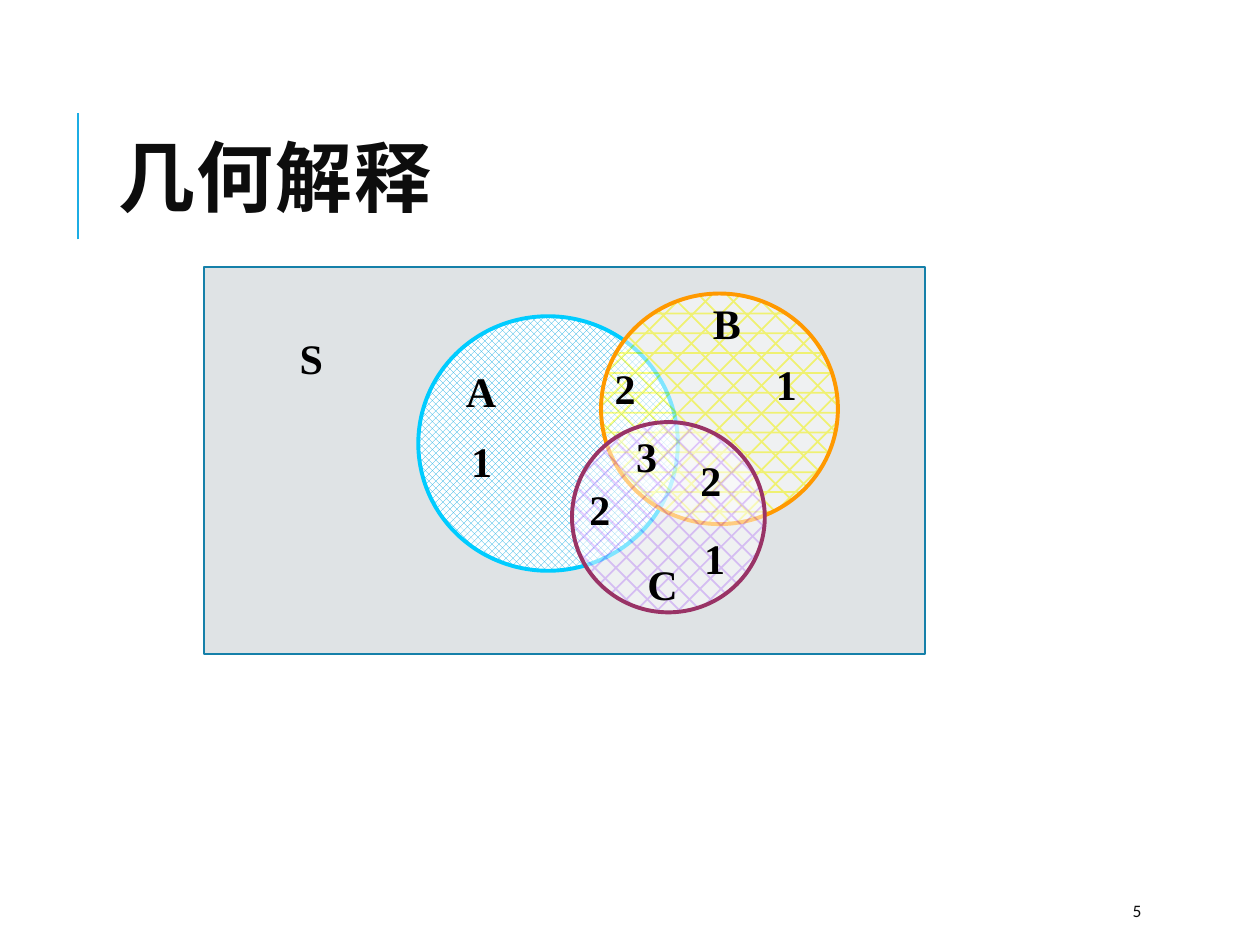
import pptx
import pptx.util
import pptx.dml.color
import pptx.enum.dml
import pptx.enum.shapes
import pptx.enum.text
import pptx.oxml
import pptx.oxml.ns

Inches = pptx.util.Inches
Pt = pptx.util.Pt
SHAPE = pptx.enum.shapes.MSO_SHAPE
ANCHOR = pptx.enum.text.MSO_ANCHOR
PATTERN = pptx.enum.dml.MSO_PATTERN

COLORS = {
    "ink": "0D0D0D", "black": "000000", "white": "FFFFFF",
    "accent": "1CADE4", "space": "DFE3E5", "edge": "1580A9",
    "cyan": "00CCFF", "yellow": "FFFF00", "orange": "FF9900",
    "lilac": "CC99FF", "plum": "993366",
}
TITLE = {"name": "Calibri", "size": Pt(44), "bold": True}
NUMBER = {"name": "Calibri", "size": Pt(10)}
LABEL = {"name": "Times New Roman", "size": Pt(24), "bold": True}

# Circles: box, pattern, pattern colour, outline, opacity in percent
CIRCLES = [
    ((3.32, 2.51, 2.06, 2.02), PATTERN.LARGE_CHECKER_BOARD,
     "accent", "cyan", 100),
    ((4.77, 2.33, 1.88, 1.83), PATTERN.DIVOT, "yellow", "orange", 50),
    ((4.54, 3.35, 1.53, 1.51), PATTERN.DIAGONAL_BRICK,
     "lilac", "plum", 50),
]

# Set names, then how often each region is counted
MARKS = [
    ("S", 2.28, 2.59), ("A", 3.6, 2.85), ("B", 5.56, 2.31),
    ("C", 5.04, 4.38),
    ("1", 6.06, 2.8), ("1", 3.64, 3.41), ("1", 5.49, 4.18),
    ("2", 5.46, 3.56), ("2", 4.58, 3.79), ("2", 4.78, 2.83),
    ("3", 4.95, 3.37),
]


def rgb(key):
    return pptx.dml.color.RGBColor.from_string(COLORS[key])


def add_text(slide, text, box, style, color, anchor=ANCHOR.TOP):
    frame = slide.shapes.add_textbox(*map(Inches, box)).text_frame
    frame.word_wrap = True
    frame.vertical_anchor = anchor
    para = frame.paragraphs[0]
    run = para.add_run()
    run.text = text
    for key, value in style.items():
        setattr(run.font, key, value)
    run.font.color.rgb = rgb(color)
    return para


def add_form(slide, kind, box, edge, width):
    form = slide.shapes.add_shape(kind, *map(Inches, box))
    form.shadow.inherit = False
    form.line.color.rgb = rgb(edge)
    form.line.width = Pt(width)
    return form


def add_circle(slide, box, pattern, fore, edge, opaque):
    form = add_form(slide, SHAPE.OVAL, box, edge, 2.25)
    fill = form.fill
    fill.patterned()
    fill.pattern = pattern
    fill.fore_color.rgb = rgb(fore)
    fill.back_color.rgb = rgb("white")
    if opaque < 100:
        # Both pattern colours are see-through
        patt = form._element.spPr.find(pptx.oxml.ns.qn("a:pattFill"))
        for color in patt.iter(pptx.oxml.ns.qn("a:srgbClr")):
            alpha = pptx.oxml.parse_xml(
                f'<a:alpha {pptx.oxml.ns.nsdecls("a")} val="{opaque * 1000}"/>')
            color.append(alpha)


def add_rule(slide, start, end):
    rule = slide.shapes.add_connector(
        pptx.enum.shapes.MSO_CONNECTOR.STRAIGHT, *map(Inches, start + end))
    rule.line.color.rgb = rgb("accent")
    rule.line.width = Pt(1.5)
    rule._element.spPr.append(pptx.oxml.parse_xml(
        f'<a:effectLst {pptx.oxml.ns.nsdecls("a")}/>'))


def main():
    deck = pptx.Presentation()
    deck.slide_width, deck.slide_height = Inches(10), Inches(7.5)
    slide = deck.slides.add_slide(deck.slide_layouts[6])

    # Title and page number
    add_rule(slide, (0.62, 1.9), (0.62, 0.9))
    title = add_text(slide, "几何解释", (0.84, 0.64, 7.97, 1.64),
                     TITLE, "ink", ANCHOR.MIDDLE)
    title.line_spacing = 0.8
    title.runs[0].font._element.set("spc", "100")
    add_text(slide, "5", (8.89, 7.08, 0.8, 0.3), NUMBER, "ink",
             ANCHOR.MIDDLE)

    # Sample space with three overlapping sets
    space = add_form(slide, SHAPE.RECTANGLE, (1.62, 2.12, 5.72, 3.07),
                     "edge", 1.25)
    space.fill.solid()
    space.fill.fore_color.rgb = rgb("space")
    for circle in CIRCLES:
        add_circle(slide, *circle)

    # Labels
    for text, left, top in MARKS:
        add_text(slide, text, (left, top, 0.37, 0.5), LABEL, "black")

    deck.save("out.pptx")


if __name__ == "__main__":
    main()
